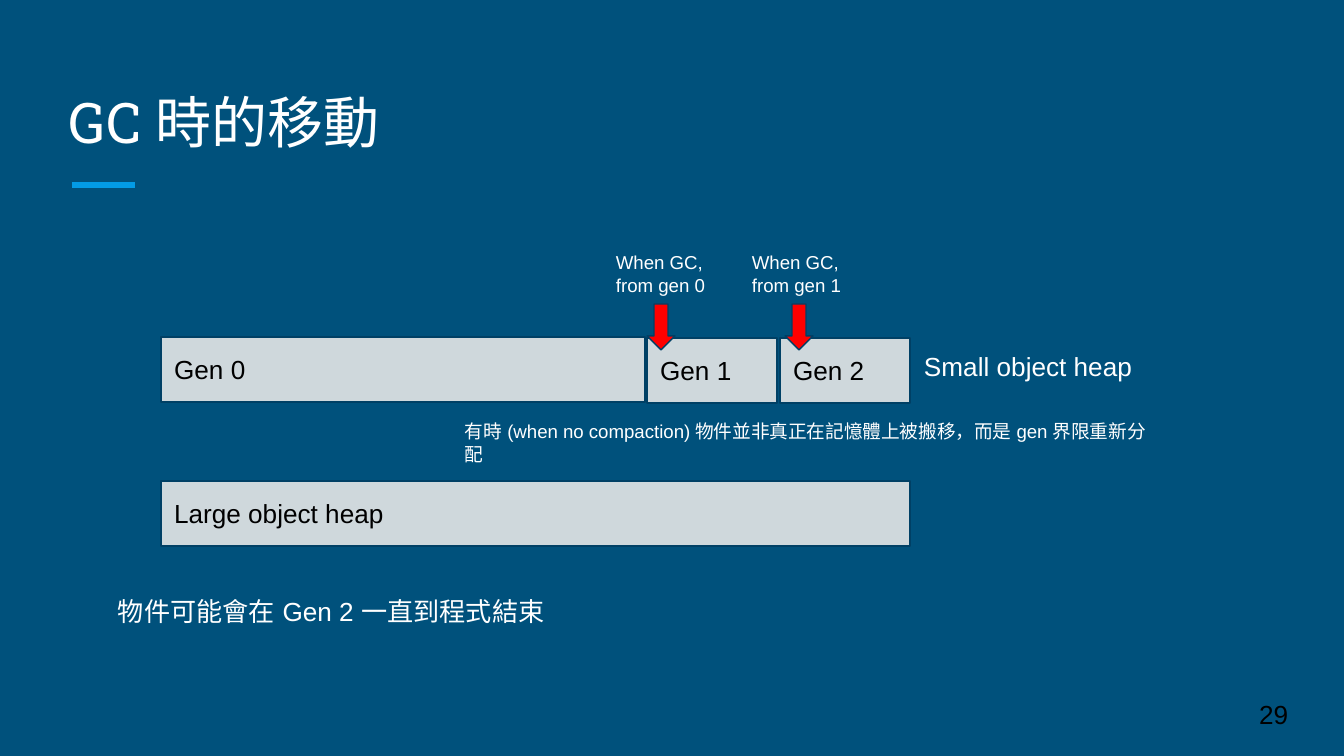
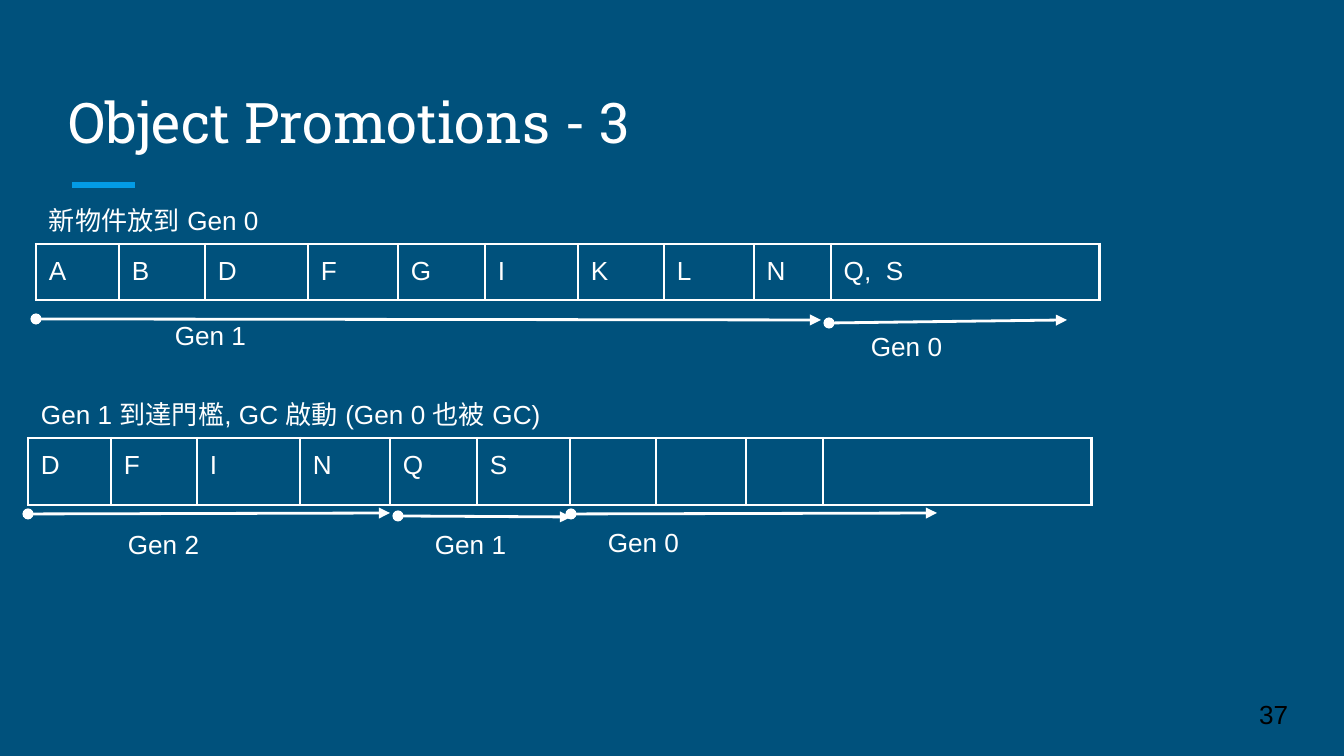
from dataclasses import dataclass

from lxml import etree
from pptx import Presentation
from pptx.dml.color import RGBColor
from pptx.enum.shapes import MSO_CONNECTOR, MSO_SHAPE
from pptx.enum.text import MSO_ANCHOR, MSO_AUTO_SIZE, PP_ALIGN
from pptx.oxml.ns import qn
from pptx.util import Emu, Pt

RECT, DOWN = MSO_SHAPE.RECTANGLE, MSO_SHAPE.DOWN_ARROW
LINE = MSO_CONNECTOR.STRAIGHT
LEFT, CENTER = PP_ALIGN.LEFT, PP_ALIGN.CENTER
TOP, MIDDLE, BOTTOM = MSO_ANCHOR.TOP, MSO_ANCHOR.MIDDLE, MSO_ANCHOR.BOTTOM
NO_FIT = MSO_AUTO_SIZE.NONE
SCALE = 914400 / 134.4
PAD = 13
WIDTHS = [83, 86, 103, 90, 87, 93, 86, 90, 77, 269]


@dataclass(frozen=True)
class Theme:
    back: str = "00517C"
    accent: str = "039BE5"
    white: str = "FFFFFF"
    black: str = "000000"
    box: str = "CFD8DC"
    edge: str = "004065"
    red: str = "FF0000"
    head: str = "Roboto Slab"
    body: str = "Arial"
    large: int = 30
    base: int = 14
    small: int = 10


THEME = Theme()


def px(n):
    return Emu(round(n * SCALE))


def area(*nums):
    return [px(n) for n in nums]


def rgb(code):
    return RGBColor.from_string(code)


def text(frame, words, size=THEME.base, color=THEME.white, font=THEME.body,
         align=LEFT, anchor=TOP):
    frame.word_wrap = True
    frame.auto_size = NO_FIT
    frame.vertical_anchor = anchor
    frame.margin_left = frame.margin_right = px(PAD)
    frame.margin_top = frame.margin_bottom = px(PAD)
    style(frame.paragraphs[0], words, size, color, font, align)


def style(para, words, size, color, font, align):
    para.alignment = align
    run = para.add_run()
    run.text = words
    run.font.size = Pt(size)
    run.font.color.rgb = rgb(color)
    run.font.name = font
    for tag in ("a:ea", "a:cs"):
        etree.SubElement(run.font._element, qn(tag), typeface=font)


def label(slide, words, x, y, w, h, **form):
    text(slide.shapes.add_textbox(*area(x, y, w, h)).text_frame, words, **form)


def shape(slide, kind, fill, x, y, w, h):
    item = slide.shapes.add_shape(kind, *area(x, y, w, h))
    item.shadow.inherit = False
    item.fill.solid()
    item.fill.fore_color.rgb = rgb(fill)
    item.line.color.rgb = rgb(THEME.edge)
    item.line.width = Pt(0.75)
    return item


def block(slide, words, x, y, w):
    item = shape(slide, RECT, THEME.box, x, y, w, 65)
    text(item.text_frame, words, color=THEME.black, anchor=MIDDLE)


def line(slide, ends, color=THEME.white, width=1.5, tips=()):
    item = slide.shapes.add_connector(LINE, *area(*ends))
    item.line.color.rgb = rgb(color)
    item.line.width = Pt(width)
    for tag, tip in tips:
        etree.SubElement(item.line._get_or_add_ln(), qn(tag), type=tip)
    etree.SubElement(item._element.spPr, qn("a:effectLst"))


def border(cell):
    props = cell._tc.get_or_add_tcPr()
    for side in ("a:lnL", "a:lnR", "a:lnT", "a:lnB"):
        edge = etree.SubElement(props, qn(side), w=str(Pt(1.5)))
        fill = etree.SubElement(edge, qn("a:solidFill"))
        etree.SubElement(fill, qn("a:srgbClr"), val=THEME.white)


def heap(slide, title, names, x, y, spans):
    label(slide, title, x, y - 53, sum(WIDTHS), 47)
    grid = slide.shapes.add_table(
        1, len(WIDTHS), *area(x, y, sum(WIDTHS), 56)).table
    grid.first_row = grid.horz_banding = False
    for i, width in enumerate(WIDTHS):
        grid.columns[i].width = px(width)
        cell = grid.cell(0, i)
        border(cell)
        cell.fill.background()
        cell.margin_left = cell.margin_right = px(PAD)
        cell.margin_top = cell.margin_bottom = px(PAD)
        if i < len(names):
            style(cell.text_frame.paragraphs[0], names[i], THEME.base,
                  THEME.white, THEME.body, LEFT)
    for name, ends, spot in spans:
        line(slide, ends, tips=(("a:headEnd", "oval"),
                                ("a:tailEnd", "triangle")))
        label(slide, name, *spot, 47, align=CENTER)


def page(deck, title, num):
    slide = deck.slides.add_slide(deck.slide_layouts[5])
    line(slide, (72, 185, 135, 185), THEME.accent, 3)
    head = slide.shapes.title
    head.left, head.top, head.width, head.height = area(56, 67, 1230, 101)
    text(head.text_frame, title, size=THEME.large, font=THEME.head,
         anchor=BOTTOM)
    label(slide, num, 1246, 685, 81, 58, color=THEME.black, anchor=MIDDLE)
    return slide


def moves(deck):
    slide = page(deck, "GC 時的移動", "29")
    block(slide, "Gen 0", 161, 337, 484)
    block(slide, "Large object heap", 161, 481, 749)
    for i, (left, tip, note) in enumerate([(647, 647, 603), (780, 785, 739)]):
        block(slide, f"Gen {i + 1}", left, 338, 130)
        shape(slide, DOWN, THEME.red, tip, 304, 28, 46)
        label(slide, f"When GC, from gen {i}", note, 238, 136, 46,
              size=THEME.small)
    label(slide, "Small object heap", 911, 337, 247, 66)
    label(slide, "有時 (when no compaction) 物件並非真正在記憶體上被搬移，"
          "而是 gen 界限重新分配", 452, 407, 716, 46, size=THEME.small)
    label(slide, "物件可能會在 Gen 2 一直到程式結束", 105, 582, 566, 66)


def growth(deck):
    slide = page(deck, "Object Promotions - 3", "37")
    heap(slide, "新物件放到 Gen 0", [*"ABDFGIKLN", "Q,  S"], 36, 244, [
        ("Gen 1", (36, 319, 821, 320), (36, 306, 349)),
        ("Gen 0", (829, 323, 1067, 320), (732, 317, 349)),
    ])
    heap(slide, "Gen 1 到達門檻, GC 啟動 (Gen 0 也被 GC)", "DFINQS", 28, 438, [
        ("Gen 2", (28, 514, 390, 513), (28, 515, 271)),
        ("Gen 1", (398, 516, 571, 517), (398, 515, 145)),
        ("Gen 0", (571, 514, 937, 513), (571, 513, 145)),
    ])


def main():
    deck = Presentation()
    deck.slide_width, deck.slide_height = area(1344, 756)
    fill = deck.slide_master.background.fill
    fill.solid()
    fill.fore_color.rgb = rgb(THEME.back)
    moves(deck)
    growth(deck)
    deck.save("out.pptx")


if __name__ == "__main__":
    main()
